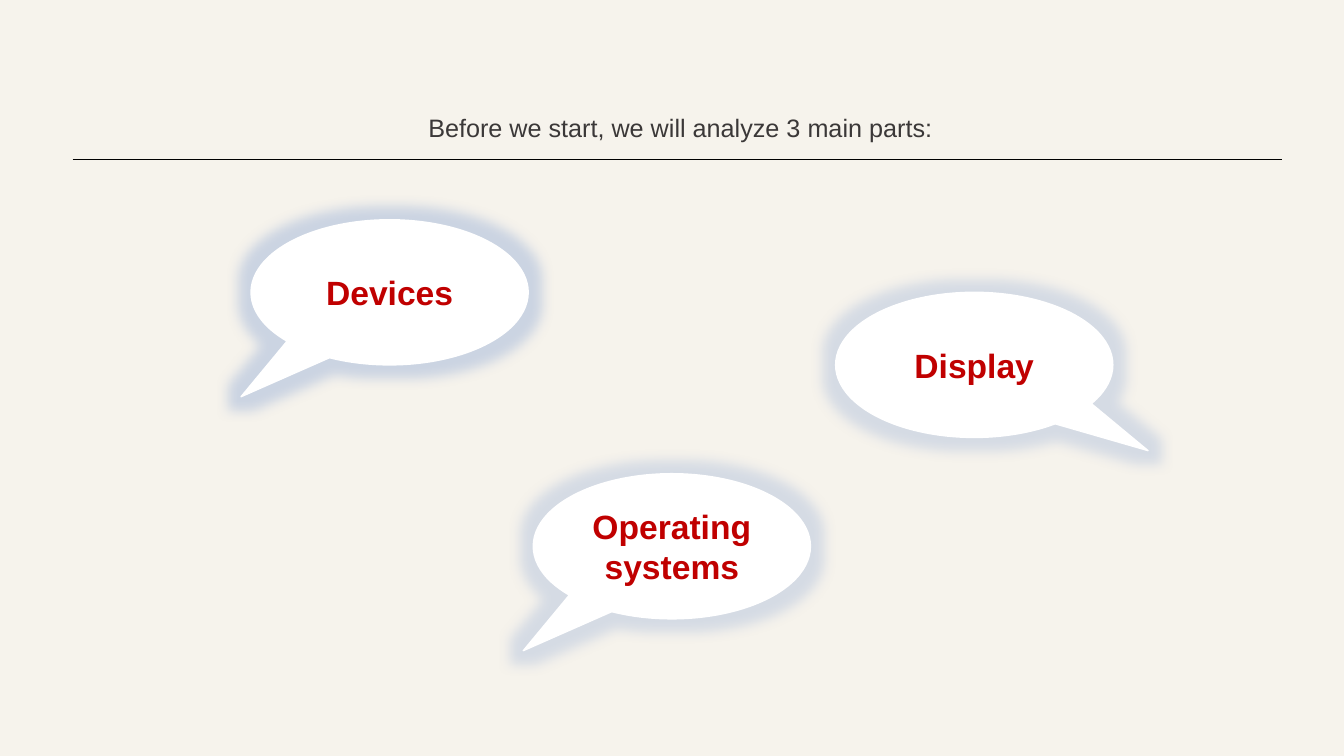
from lxml import etree
from pptx import Presentation
from pptx.dml.color import RGBColor
from pptx.enum.shapes import MSO_CONNECTOR, MSO_SHAPE
from pptx.enum.text import MSO_ANCHOR, MSO_AUTO_SIZE, PP_ALIGN
from pptx.oxml.ns import qn
from pptx.util import Pt

STRAIGHT = MSO_CONNECTOR.STRAIGHT
CALLOUT = MSO_SHAPE.OVAL_CALLOUT
MIDDLE = MSO_ANCHOR.MIDDLE
FIT_SHAPE = MSO_AUTO_SIZE.SHAPE_TO_FIT_TEXT
CENTER = PP_ALIGN.CENTER

TAIL_LEFT = (-0.536, 0.719)
TAIL_RIGHT = (0.627, 0.591)


def color(value):
    return RGBColor.from_string(value)


class Page:
    font = "Arial"
    paper = "F6F3EC"
    ink = "3B3838"
    accent = "C00000"
    white = "FFFFFF"
    black = "000000"
    glow = "4472C4"
    bubble_size = (198, 103.7)

    def __init__(self, deck):
        self.slide = deck.slides.add_slide(deck.slide_layouts[6])
        self.slide.background.fill.solid()
        self.slide.background.fill.fore_color.rgb = color(self.paper)

    def set_text(self, frame, text, size, ink, bold=False):
        frame.word_wrap = True
        para = frame.paragraphs[0]
        para.text = text
        para.alignment = CENTER
        para.font.name = self.font
        para.font.size = Pt(size)
        para.font.bold = bold
        para.font.color.rgb = color(ink)

    def heading(self, text, left, top, width, height):
        box = self.slide.shapes.add_textbox(Pt(left), Pt(top), Pt(width), Pt(height))
        self.set_text(box.text_frame, text, 18, self.ink)
        box.text_frame.auto_size = FIT_SHAPE

    def bubble(self, text, left, top, tail, glow_alpha):
        width, height = self.bubble_size
        shape = self.slide.shapes.add_shape(CALLOUT, Pt(left), Pt(top), Pt(width), Pt(height))
        shape.adjustments[0], shape.adjustments[1] = tail
        shape.fill.solid()
        shape.fill.fore_color.rgb = color(self.white)
        shape.line.color.rgb = color(self.white)
        shape.line.width = Pt(1)
        shape.shadow.inherit = False
        effects = shape._element.spPr.find(qn("a:effectLst"))
        glow = etree.SubElement(effects, qn("a:glow"), rad=str(Pt(18)))
        tint = etree.SubElement(glow, qn("a:srgbClr"), val=self.glow)
        etree.SubElement(tint, qn("a:alpha"), val=str(glow_alpha * 1000))
        shape.text_frame.vertical_anchor = MIDDLE
        self.set_text(shape.text_frame, text, 24, self.accent, bold=True)

    def rule(self, left, right, top):
        line = self.slide.shapes.add_connector(STRAIGHT, Pt(left), Pt(top), Pt(right), Pt(top))
        line.line.color.rgb = color(self.black)
        line.line.width = Pt(0.5)
        etree.SubElement(line._element.spPr, qn("a:effectLst"))


def main():
    deck = Presentation()
    deck.slide_width, deck.slide_height = Pt(960), Pt(540)
    page = Page(deck)
    page.heading("Before we start, we will analyze 3 main parts:", 71.3, 77, 829.4, 29)
    for text, left, top, tail, glow_alpha in (
        ("Devices", 179.3, 157, TAIL_LEFT, 24),
        ("Operating systems", 380.9, 338.4, TAIL_LEFT, 18),
        ("Display", 596.9, 208.8, TAIL_RIGHT, 18),
    ):
        page.bubble(text, left, top, tail, glow_alpha)
    page.rule(51.8, 915.8, 113.8)
    deck.save("out.pptx")


if __name__ == "__main__":
    main()
